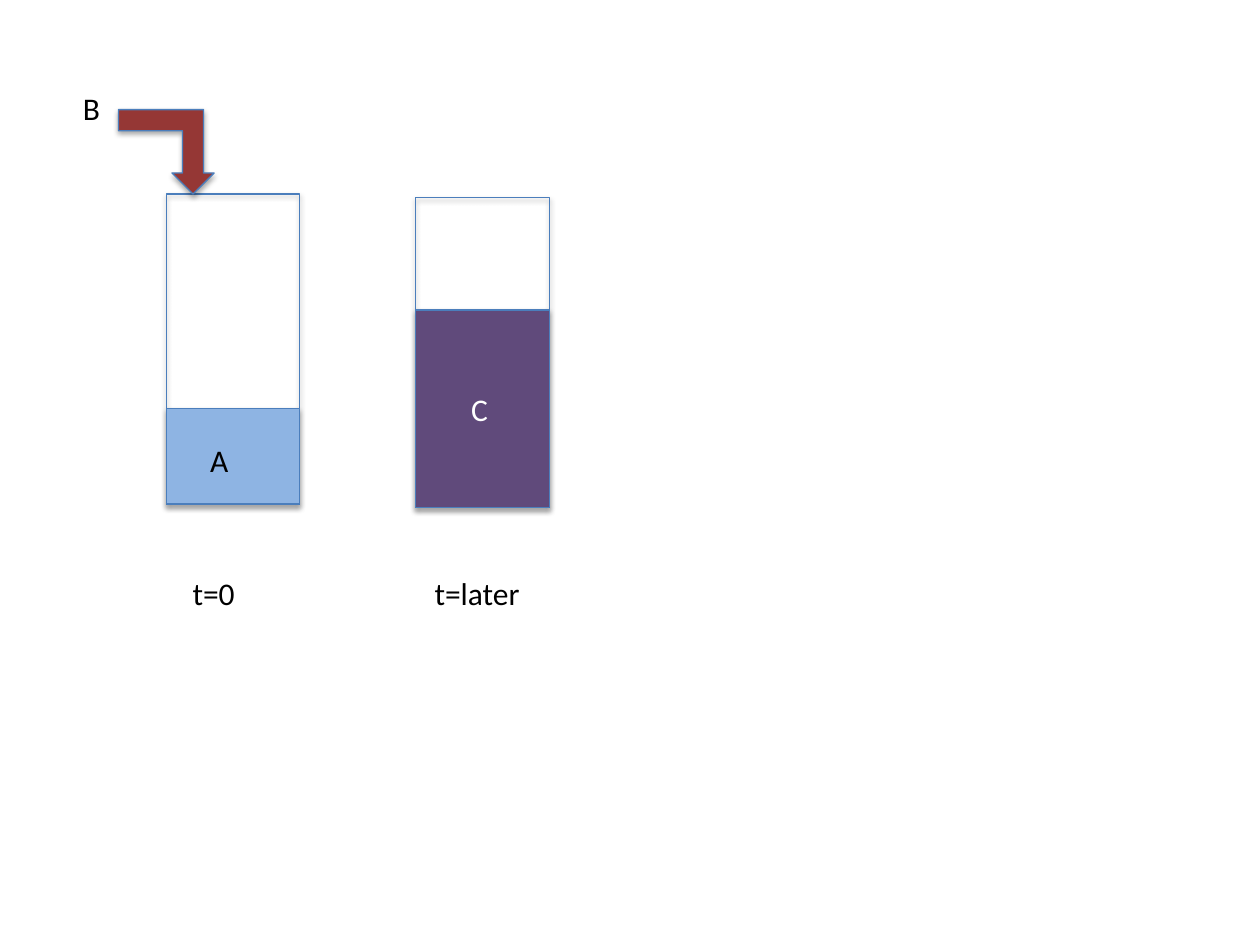
from lxml.etree import fromstring
from pptx import Presentation
from pptx.dml.color import RGBColor
from pptx.enum.shapes import MSO_SHAPE as Shape
from pptx.enum.text import MSO_AUTO_SIZE as Auto
from pptx.util import Inches, Pt

BLACK = RGBColor(0, 0, 0)
WHITE = RGBColor(255, 255, 255)
EDGE = RGBColor(0x4B, 0x7E, 0xBC)
BLUE = RGBColor(0x8E, 0xB4, 0xE3)
PURPLE = RGBColor(0x60, 0x4A, 0x7B)
RED = RGBColor(0x95, 0x37, 0x35)
FONT = {"name": "Calibri", "size": Pt(18)}
FRAME = {"word_wrap": False, "auto_size": Auto.SHAPE_TO_FIT_TEXT}
SHADOW = (
    '<a:effectLst xmlns:a="http://schemas.openxmlformats.org/drawingml/2006/main">'
    '<a:outerShdw blurRad="40000" dist="23000" dir="5400000" rotWithShape="0">'
    '<a:srgbClr val="000000"><a:alpha val="35000"/></a:srgbClr>'
    '</a:outerShdw></a:effectLst>'
)


def set_all(item, values):
    """Set each attribute of an item from a dict."""
    for key, value in values.items():
        setattr(item, key, value)


def add_box(slide, kind, box, fill=None):
    """Add an outlined shape with a soft shadow below it."""
    shape = slide.shapes.add_shape(kind, *map(Inches, box))
    if fill is None:
        shape.fill.background()
    else:
        shape.fill.solid()
        shape.fill.fore_color.rgb = fill
    shape.line.color.rgb = EDGE
    shape.line.width = Pt(0.75)
    shape.shadow.inherit = False
    props = shape._element.spPr
    props.replace(props[-1], fromstring(SHADOW))
    return shape


def add_label(slide, text, left, top, width=0.35, color=BLACK):
    """Add a one-line label."""
    box = slide.shapes.add_textbox(*map(Inches, (left, top, width, 0.4)))
    frame = box.text_frame
    set_all(frame, FRAME)
    run = frame.paragraphs[0].add_run()
    run.text = text
    set_all(run.font, FONT)
    run.font.color.rgb = color


def add_tank(slide, box, level, fill):
    """Add a tank filled from its base up to a level."""
    left, top, width, height = box
    add_box(slide, Shape.RECTANGLE, box)
    base = top + height
    add_box(slide, Shape.RECTANGLE, (left, base - level, width, level), fill)


def add_inlet(slide, box):
    """Add the bent arrow that pours down into a tank."""
    arrow = add_box(slide, Shape.BENT_UP_ARROW, box, RED)
    arrow.rotation = 180
    arrow._element.spPr.xfrm.set("flipH", "1")


def build():
    """Build the mixing slide."""
    deck = Presentation()
    set_all(deck, {"slide_width": Inches(10), "slide_height": Inches(7.5)})
    slide = deck.slides.add_slide(deck.slide_layouts[6])
    add_tank(slide, (1.32, 1.54, 1.06, 2.46), 0.76, BLUE)
    add_tank(slide, (3.3, 1.57, 1.06, 2.46), 1.57, PURPLE)
    add_inlet(slide, (0.94, 0.87, 0.76, 0.67))
    add_label(slide, "t=0", 1.43, 4.51, 0.54)
    add_label(slide, "t=later", 3.35, 4.51, 0.89)
    add_label(slide, "A", 1.57, 3.45)
    add_label(slide, "B", 0.56, 0.66)
    add_label(slide, "C", 3.64, 3.05, color=WHITE)
    deck.save("out.pptx")


build()
